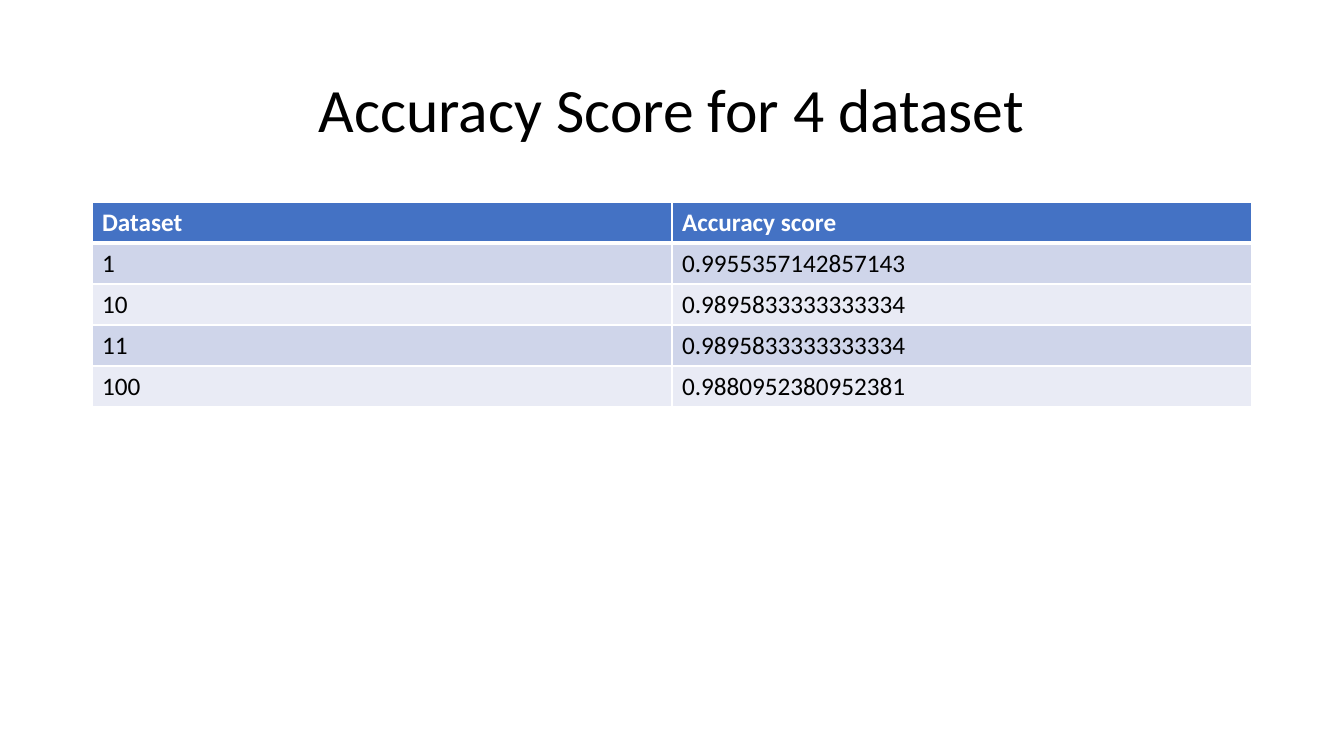
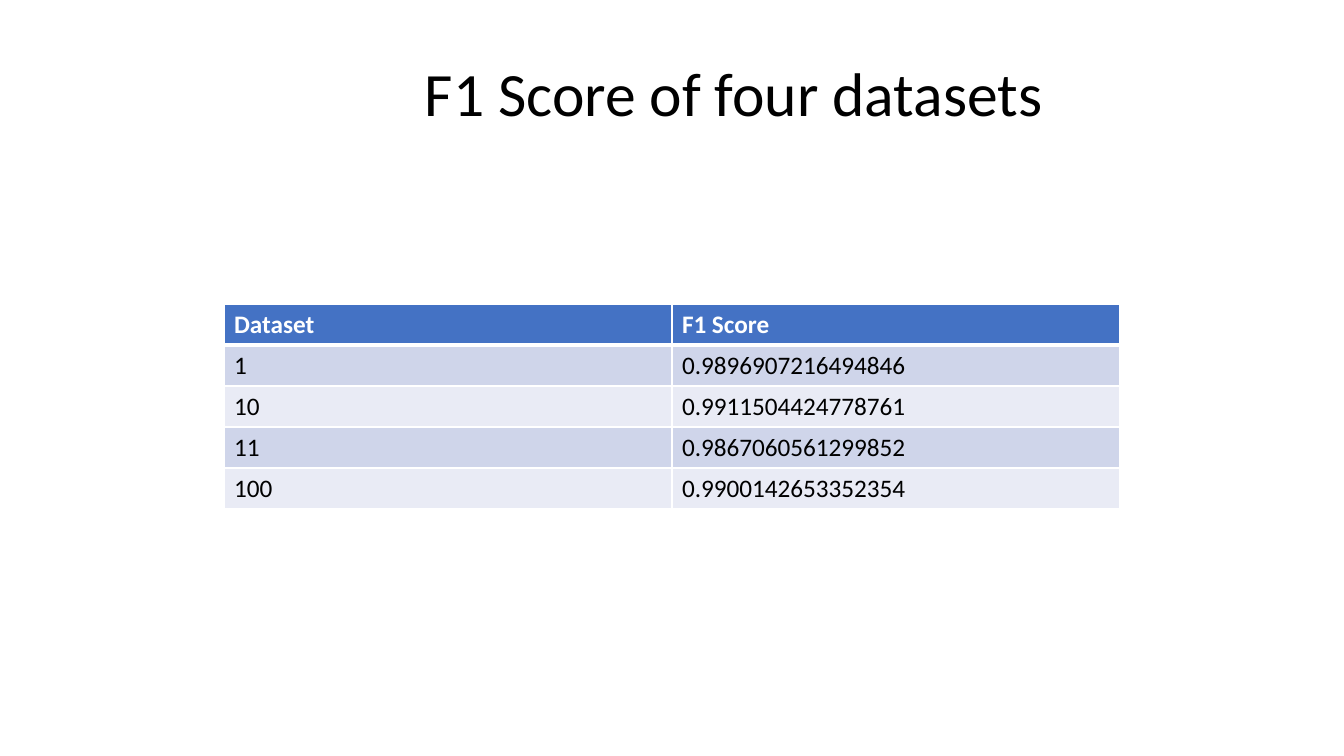
"""Build two slides that tabulate accuracy and F1 scores per dataset."""
from dataclasses import dataclass

from lxml.etree import SubElement
from pptx import Presentation
from pptx.dml.color import RGBColor
from pptx.enum.text import MSO_ANCHOR as Anchor, PP_ALIGN as Align
from pptx.oxml.ns import qn
from pptx.slide import Slide
from pptx.table import _Cell as Cell
from pptx.text.text import _Paragraph as Paragraph
from pptx.util import Emu, Pt

EMU_PER_PIXEL = 914400 / 100.8
SLIDE_WIDTH, SLIDE_HEIGHT = 1344, 756
TITLE_WIDTH, TITLE_HEIGHT = 1160, 146
ROW_HEIGHT = 41
INSET = 10
RULE, HEADER_RULE = 1, 3

FONT = "Calibri"
BLACK = RGBColor(0x00, 0x00, 0x00)
WHITE = RGBColor(0xFF, 0xFF, 0xFF)
HEADER_BLUE = RGBColor(0x44, 0x72, 0xC4)
BANDS = (RGBColor(0xCF, 0xD5, 0xEA), RGBColor(0xE9, 0xEB, 0xF5))
DATASETS = ("1", "10", "11", "100")


@dataclass(frozen=True)
class ScoreSlide:
    """Content and layout of one slide, with lengths in pixels."""
    title: str
    title_left: int
    title_top: int
    title_indent: int
    metric: str
    scores: tuple[str, ...]
    table_left: int
    table_top: int
    column_width: int


SCORE_SLIDES = (
    ScoreSlide(
        "Accuracy Score for 4 dataset", 92, 40, 0, "Accuracy score",
        ("0.9955357142857143", "0.9895833333333334",
         "0.9895833333333334", "0.9880952380952381"),
        92, 202, 580),
    ScoreSlide(
        "F1 Score of four datasets", 79, 24, 150, "F1 Score",
        ("0.9896907216494846", "0.9911504424778761",
         "0.9867060561299852", "0.9900142653352354"),
        224, 304, 448),
)


def px(pixels: int) -> Emu:
    """Convert pixels to EMU."""
    return Emu(round(pixels * EMU_PER_PIXEL))


def style_text(paragraph: Paragraph, size: int, color: RGBColor, bold: bool = False) -> None:
    """Set the font of a whole paragraph."""
    font = paragraph.font
    font.name, font.size, font.bold = FONT, Pt(size), bold
    font.color.rgb = color


def add_title(slide: Slide, content: ScoreSlide) -> None:
    """Add the centred slide title."""
    box = slide.shapes.add_textbox(
        px(content.title_left), px(content.title_top), px(TITLE_WIDTH), px(TITLE_HEIGHT))
    frame = box.text_frame
    frame.word_wrap = True
    frame.vertical_anchor = Anchor.MIDDLE
    frame.margin_left = px(INSET + content.title_indent)
    frame.margin_right = px(INSET)
    heading = frame.paragraphs[0]
    heading.text = content.title
    heading.alignment = Align.CENTER
    heading.line_spacing = 0.9
    style_text(heading, 44, BLACK)


def add_borders(cell: Cell, top: int, bottom: int) -> None:
    """Draw white borders around a cell, with widths in points."""
    properties = cell._tc.get_or_add_tcPr()
    widths = {"lnL": RULE, "lnR": RULE, "lnT": top, "lnB": bottom}
    for position, (side, width) in enumerate(widths.items()):
        line = SubElement(properties, qn(f"a:{side}"), w=str(Pt(width)))
        fill = SubElement(line, qn("a:solidFill"))
        SubElement(fill, qn("a:srgbClr"), val=str(WHITE))
        properties.insert(position, line)


def add_score_table(slide: Slide, content: ScoreSlide) -> None:
    """Add the banded table of datasets and scores."""
    rows = [("Dataset", content.metric), *zip(DATASETS, content.scores)]
    table = slide.shapes.add_table(
        len(rows), 2, px(content.table_left), px(content.table_top),
        px(2 * content.column_width), px(len(rows) * ROW_HEIGHT)).table
    for row_index, row in enumerate(rows):
        is_header = row_index == 0
        for column_index, text in enumerate(row):
            cell = table.cell(row_index, column_index)
            cell.text = text
            style_text(cell.text_frame.paragraphs[0], 18,
                       WHITE if is_header else BLACK, is_header)
            cell.fill.solid()
            cell.fill.fore_color.rgb = (
                HEADER_BLUE if is_header else BANDS[(row_index - 1) % len(BANDS)])
            add_borders(cell, HEADER_RULE if row_index == 1 else RULE,
                        HEADER_RULE if is_header else RULE)


def main() -> None:
    """Build and save the presentation."""
    presentation = Presentation()
    presentation.slide_width = px(SLIDE_WIDTH)
    presentation.slide_height = px(SLIDE_HEIGHT)
    blank_layout = presentation.slide_layouts[6]
    for content in SCORE_SLIDES:
        slide = presentation.slides.add_slide(blank_layout)
        add_title(slide, content)
        add_score_table(slide, content)
    presentation.save("out.pptx")


main()
